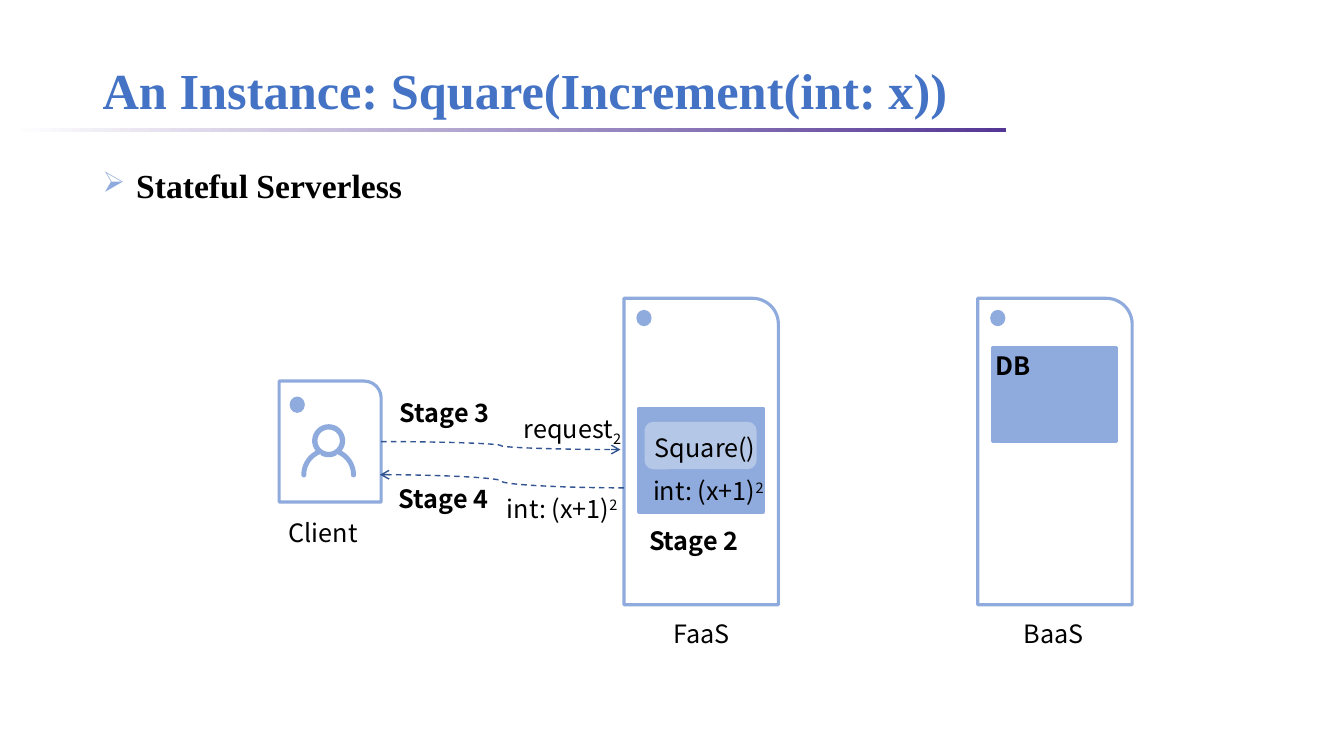
from math import cos, radians, sin
from lxml.etree import SubElement
from pptx import Presentation
from pptx.dml.color import RGBColor
from pptx.enum.dml import MSO_LINE
from pptx.enum.shapes import MSO_CONNECTOR, MSO_SHAPE
from pptx.enum.text import MSO_ANCHOR
from pptx.oxml.ns import qn
from pptx.util import Pt

COLORS = {"title": "4472C4", "accent": "8FAADC", "function": "B4C7E7", "arrow": "325491",
          "rule": "543795", "white": "FFFFFF", "text": "000000"}
SERIF, SANS = "Times New Roman", "Noto Sans CJK SC"

TITLE = "An Instance: Square(Increment(int: x))"
TOPIC = "Stateful Serverless"

MACHINES = [
    ((199.4, 272.2, 72.9, 86.4), (8.6, 12.2), None),
    ((445.7, 213.1, 110.3, 218.9), (10, 9.4), "white"),
    ((698.4, 213.1, 110.3, 218.9), (10, 9.4), "white"),
]
BLOCKS = [
    (MSO_SHAPE.RECTANGLE, (456.5, 291.6, 88.6, 74.2), "accent"),
    (MSO_SHAPE.ROUNDED_RECTANGLE, (461.5, 302.4, 77.8, 31.7), "function"),
    (MSO_SHAPE.RECTANGLE, (709.2, 248.4, 88.6, 67), "accent"),
]
MESSAGES = [((272.2, 315.4), (443.2, 321.1)), ((445.7, 348.5), (271.4, 339.1))]
LABELS = [
    ("Client", "", 0, False, (199.2, 365.8, 71)),
    ("FaaS", "", 0, False, (473.8, 437.8, 77.8)),
    ("BaaS", "", 0, False, (724.3, 437.8, 77.8)),
    ("Square()", "", 0, False, (460.8, 305.3, 110.9)),
    ("request", "2", -25000, False, (367.2, 291.6, 92)),
    ("int: (x+1)", "2", 30000, False, (459.4, 336.2, 98)),
    ("int: (x+1)", "2", 30000, False, (355, 348.5, 107.3)),
    ("DB", "", 0, True, (704.2, 247, 59.8)),
    ("Stage 3", "", 0, True, (278.6, 280.1, 89.3)),
    ("Stage 2", "", 0, True, (456.5, 371.5, 97.2)),
    ("Stage 4", "", 0, True, (277.9, 342, 89.3)),
]

HEAD, SHOULDERS = (234.8, 314.8), (234.8, 339.2)
LEFT_HAND, RIGHT_HAND = (217.05, 339.2), (252.55, 339.2)
USER_OUTLINE = [
    (SHOULDERS, 19.5, 0, 62), (HEAD, 11.8, -39, 219), (SHOULDERS, 19.5, 118, 180),
    (LEFT_HAND, 1.75, 180, 360), (SHOULDERS, 16, 180, 111), (HEAD, 11.8, -119, -61),
    (SHOULDERS, 16, 69, 0), (RIGHT_HAND, 1.75, 180, 360),
]
USER_FACE = [(HEAD, 8, 360, 0)]

deck = Presentation()
deck.slide_width, deck.slide_height = Pt(960), Pt(540)
slide = deck.slides.add_slide(deck.slide_layouts[6])


def rgb(name):
    return RGBColor.from_string(COLORS[name])


def paint(shape, fill, line=None):
    shape.shadow.inherit = False
    if fill:
        shape.fill.solid()
        shape.fill.fore_color.rgb = rgb(fill)
    else:
        shape.fill.background()
    if line:
        shape.line.color.rgb = rgb(line)
        shape.line.width = Pt(2.25)
    else:
        shape.line.fill.background()


def add_block(kind, box, fill, line):
    shape = slide.shapes.add_shape(kind, *map(Pt, box))
    paint(shape, fill, line)
    return shape


def add_text(text, box, size, font, color="text", bold=False):
    frame = slide.shapes.add_textbox(*map(Pt, box)).text_frame
    frame.word_wrap = True
    frame.text = text
    style(frame.paragraphs[0].runs[0], size, font, color, bold)
    return frame


def style(run, size, font, color, bold):
    run.font.size, run.font.name, run.font.bold = Pt(size), font, bold
    run.font.color.rgb = rgb(color)


def trace(arcs, steps=24):
    return [(Pt(x + r * cos(radians(a + (b - a) * i / steps))),
             Pt(y - r * sin(radians(a + (b - a) * i / steps))))
            for (x, y), r, a, b in arcs for i in range(steps + 1)]


rule = add_block(MSO_SHAPE.RECTANGLE, (7.9, 91.4, 710.6, 2.9), "rule", None)
rule.fill.gradient()
rule.fill.gradient_angle = 0
for stop, color, position in zip(rule.fill.gradient_stops, ("white", "rule"), (0, 1)):
    stop.color.rgb = rgb(color)
    stop.position = position

title = add_text(TITLE, (66.2, 28.8, 828, 61.2), 36, SERIF, "title", True)
title.vertical_anchor = MSO_ANCHOR.MIDDLE
title.paragraphs[0].line_spacing = 1.2

topic = add_text(TOPIC, (66.2, 108.7, 828, 65.5), 24, SERIF, bold=True).paragraphs[0]
topic.line_spacing, topic.space_before = 1.2, Pt(12)
bullet = topic._p.get_or_add_pPr()
bullet.set("marL", str(Pt(24)))
bullet.set("indent", str(Pt(-24)))
SubElement(SubElement(bullet, qn("a:buClr")), qn("a:srgbClr"), val=COLORS["accent"])
SubElement(bullet, qn("a:buSzPct"), val="85000")
SubElement(bullet, qn("a:buChar"), char="➢")

for box, (dx, dy), fill in MACHINES:
    add_block(MSO_SHAPE.ROUND_1_RECTANGLE, box, fill, "accent")
    add_block(MSO_SHAPE.OVAL, (box[0] + dx, box[1] + dy, 8.6, 9.4), "accent", "accent")

for kind, box, fill in BLOCKS:
    add_block(kind, box, fill, fill)

outline, face = trace(USER_OUTLINE), trace(USER_FACE)
builder = slide.shapes.build_freeform(*outline[0])
builder.add_line_segments(outline[1:])
builder.move_to(*face[0])
builder.add_line_segments(face[1:])
paint(builder.convert_to_shape(), "accent")

for start, end in MESSAGES:
    arrow = slide.shapes.add_connector(MSO_CONNECTOR.CURVE, *map(Pt, start + end))
    arrow.line.color.rgb = rgb("arrow")
    arrow.line.width = Pt(1)
    arrow.line.dash_style = MSO_LINE.DASH
    SubElement(arrow.line._get_or_add_ln(), qn("a:tailEnd"), type="arrow")
    SubElement(arrow._element.spPr, qn("a:effectLst"))

for text, script, baseline, bold, (left, top, width) in LABELS:
    paragraph = add_text(text, (left, top, width, 28.8), 18, SANS, bold=bold).paragraphs[0]
    if script:
        run = paragraph.add_run()
        run.text = script
        style(run, 18, SANS, "text", bold)
        run.font._element.set("baseline", str(baseline))

deck.save("out.pptx")
